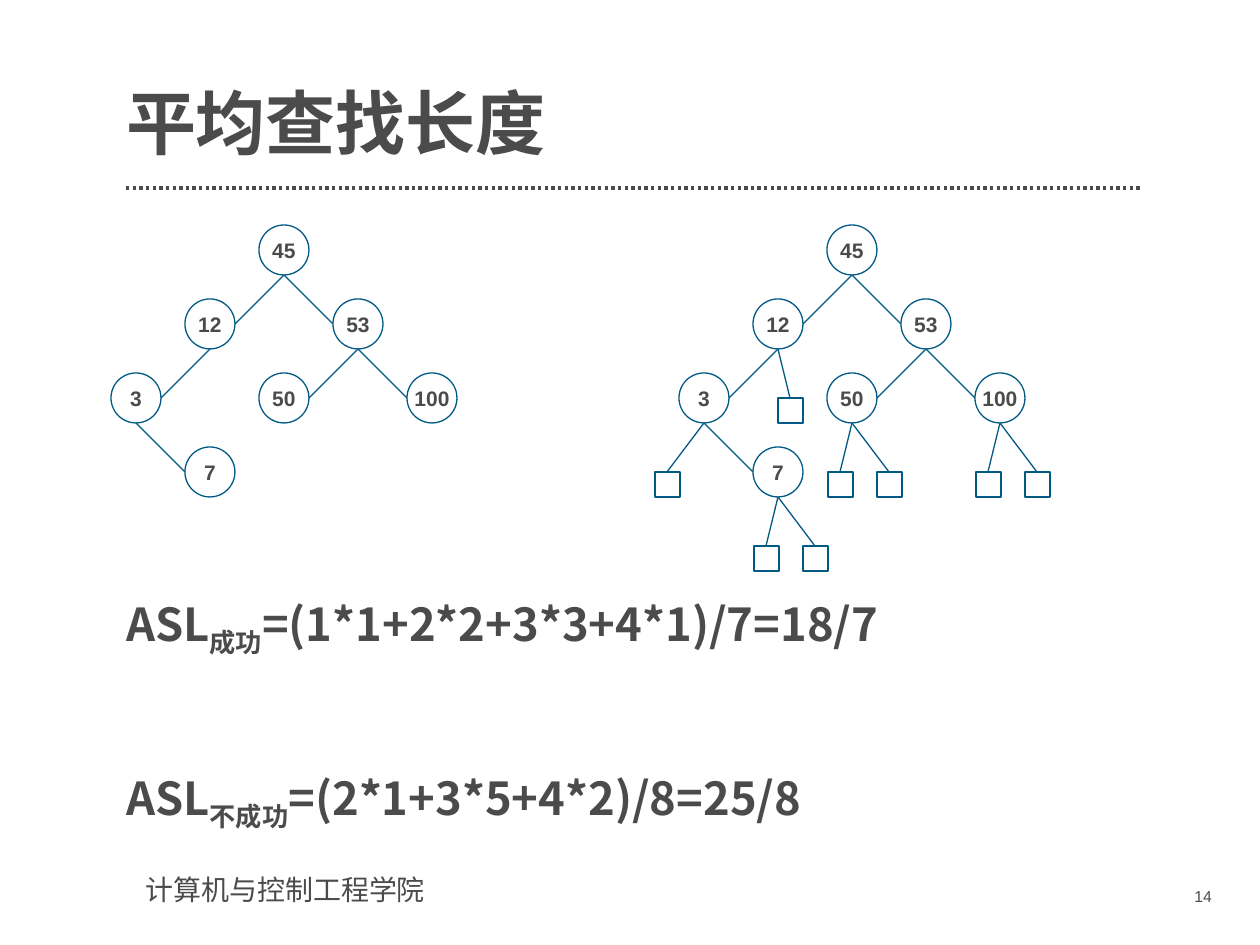
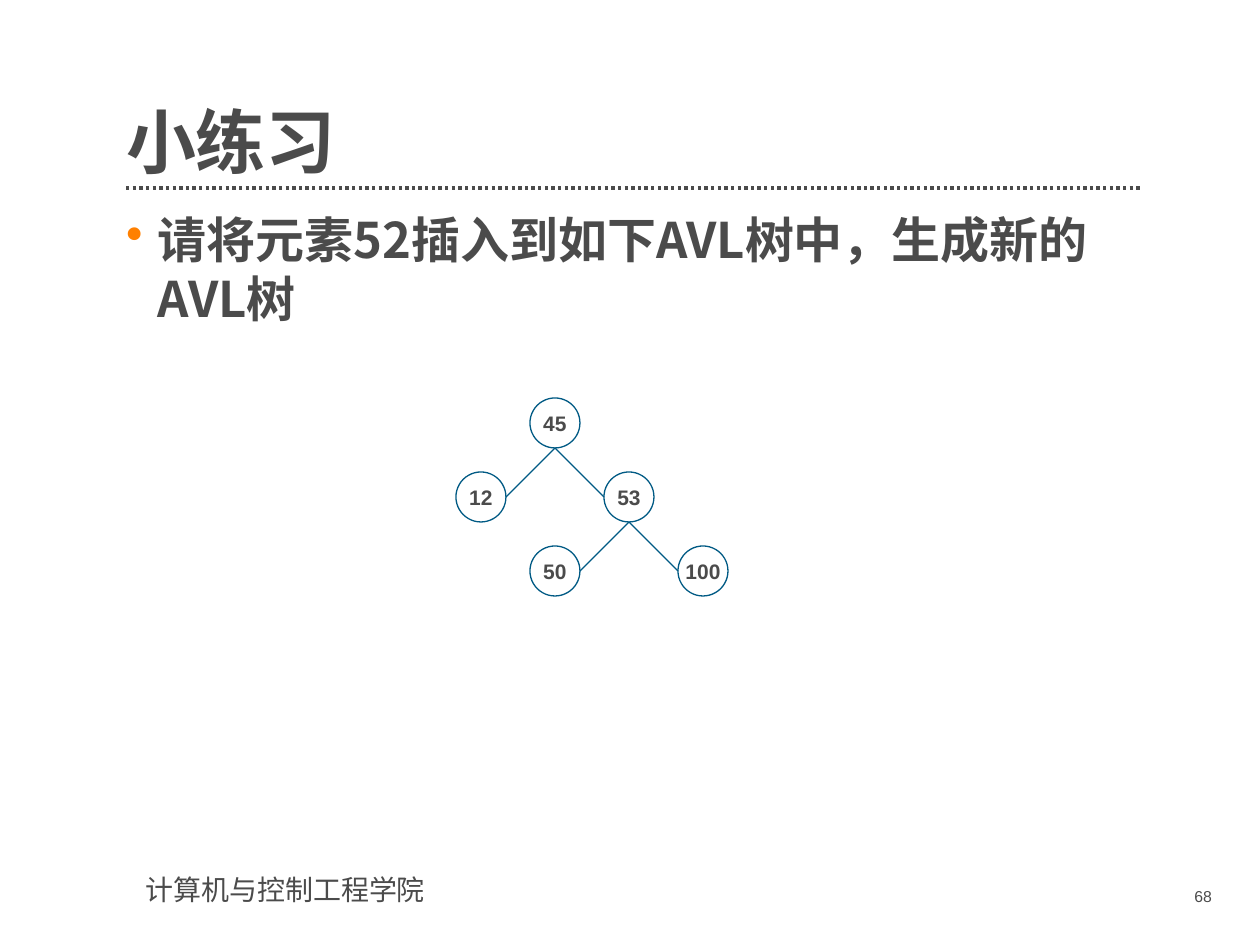
"""Build two slides on search-tree length and AVL insertion."""
from typing import NamedTuple

from lxml.etree import SubElement
from pptx import Presentation
from pptx.dml.color import RGBColor as Rgb
from pptx.enum.dml import MSO_LINE as Dash
from pptx.enum.shapes import MSO_CONNECTOR as Link, MSO_SHAPE as Shape
from pptx.enum.text import MSO_ANCHOR as Anchor, MSO_AUTO_SIZE as Fit, PP_ALIGN as Align
from pptx.oxml.ns import qn
from pptx.util import Pt

EMU_PER_PX = 914400 / 126
COLORS = {"ink": "4B4B4B", "tree": "005A84", "bullet": "FF8000"}
HEADING_FONT, LABEL_FONT = "Noto Sans CJK SC", "Arial"
SCHOOL = "计算机与控制工程学院"
NODE, STEP, LEAF, HANG = 50, 74, 25, 32
NEAR, FAR = 12, 37


class Box(NamedTuple):
    """Hold a frame in px."""
    left: int
    top: int
    width: int
    height: int


class Style(NamedTuple):
    """Describe the look of a run."""
    size: float
    bold: bool = True
    face: str = HEADING_FONT


class Key(NamedTuple):
    """Place a tree key on the grid, with its parent and empty-leaf offsets."""
    value: str
    col: int
    row: int
    parent: str = ""
    leaves: tuple[int, ...] = ()


TITLE = Style(40)
FORMULA = Style(25.9)
TASK = Style(28)
NODE_LABEL = Style(12, face=LABEL_FONT)
FOOTER = Style(16, False, LABEL_FONT)
PAGE = Style(9, False, LABEL_FONT)

AVL_KEYS = (
    Key("45", 0, 0),
    Key("12", -1, 1, "45", (NEAR,)),
    Key("53", 1, 1, "45"),
    Key("50", 0, 2, "53", (-NEAR, FAR)),
    Key("100", 2, 2, "53", (-NEAR, FAR)),
)
SEARCH_KEYS = AVL_KEYS + (
    Key("3", -2, 2, "12", (-FAR,)),
    Key("7", -1, 3, "3", (-NEAR, FAR)),
)
FORMULAS = (
    ("成功", "=(1*1+2*2+3*3+4*1)/7=18/7"),
    ("不成功", "=(2*1+3*5+4*2)/8=25/8"),
)


def emu(px: float) -> int:
    """Turn px into EMU."""
    return round(px * EMU_PER_PX)


def color(name: str) -> Rgb:
    """Look up a named colour."""
    return Rgb.from_string(COLORS[name])


def add_run(paragraph, text: str, style: Style, baseline: int = 0) -> None:
    """Append one styled run."""
    run = paragraph.add_run()
    run.text = text
    run.font.size = Pt(style.size)
    run.font.bold = style.bold
    run.font.name = style.face
    run.font.color.rgb = color("ink")
    props = run._r.get_or_add_rPr()
    SubElement(props, qn("a:ea")).set("typeface", HEADING_FONT)
    if baseline:
        props.set("baseline", str(baseline * 1000))


def set_frame(frame, anchor=Anchor.TOP, wrap: bool = True, right: int = 0) -> None:
    """Set the anchor, wrapping and margins of a text frame."""
    frame.auto_size = Fit.NONE
    frame.word_wrap = wrap
    frame.vertical_anchor = anchor
    frame.margin_left = frame.margin_top = frame.margin_bottom = 0
    frame.margin_right = emu(right)


def add_text_box(slide, box: Box, right: int = 0):
    """Add an empty text box and return its frame."""
    frame = slide.shapes.add_textbox(*map(emu, box)).text_frame
    set_frame(frame, right=right)
    return frame


def add_line(slide, start: tuple, end: tuple, name: str = "tree", width: float = 0.75):
    """Draw a straight line without a shadow."""
    line = slide.shapes.add_connector(Link.STRAIGHT, *map(emu, (*start, *end)))
    line.line.color.rgb = color(name)
    line.line.width = Pt(width)
    SubElement(line._element.spPr, qn("a:effectLst"))
    return line


def add_outline(slide, kind, box: Box):
    """Draw an unfilled tree shape."""
    shape = slide.shapes.add_shape(kind, *map(emu, box))
    shape.shadow.inherit = False
    shape.fill.background()
    shape.line.color.rgb = color("tree")
    shape.line.width = Pt(0.75)
    return shape


def draw_tree(slide, keys: tuple[Key, ...], x: int, y: int, with_leaves: bool = False) -> None:
    """Draw a binary tree whose root is centred on x, y."""
    radius = NODE // 2
    centres = {key.value: (x + key.col * STEP, y + key.row * STEP) for key in keys}
    for key in keys:
        cx, cy = centres[key.value]
        node = add_outline(slide, Shape.OVAL, Box(cx - radius, cy - radius, NODE, NODE))
        set_frame(node.text_frame, Anchor.MIDDLE, wrap=False)
        label = node.text_frame.paragraphs[0]
        label.alignment = Align.CENTER
        add_run(label, key.value, NODE_LABEL)
        if key.parent:
            px, py = centres[key.parent]
            side = radius if cx < px else -radius
            add_line(slide, (px, py + radius), (cx + side, cy))
        for offset in key.leaves if with_leaves else ():
            leaf_x, leaf_y = cx + offset, cy + STEP
            add_outline(slide, Shape.RECTANGLE, Box(leaf_x - LEAF // 2, leaf_y, LEAF, LEAF))
            add_line(slide, (cx, cy + radius), (leaf_x, leaf_y))


def start_slide(deck, heading: str, title_top: int, page: str):
    """Add a slide with its title, rule, footer and page number."""
    slide = deck.slides.add_slide(deck.slide_layouts[5])
    title = slide.shapes.title
    title.left, title.top, title.width, title.height = map(emu, Box(126, title_top, 1016, 115))
    set_frame(title.text_frame, Anchor.BOTTOM)
    paragraph = title.text_frame.paragraphs[0]
    paragraph.alignment = Align.LEFT
    paragraph.line_spacing = 0.9
    add_run(paragraph, heading, TITLE)
    rule = add_line(slide, (126, 188), (1142, 188), "ink", 1.9)
    rule.line.dash_style = Dash.ROUND_DOT
    school = add_text_box(slide, Box(146, 873, 330, 40))
    add_run(school.paragraphs[0], SCHOOL, FOOTER)
    number = add_text_box(slide, Box(1100, 887, 112, 24)).paragraphs[0]
    number.alignment = Align.RIGHT
    add_run(number, page, PAGE)
    return slide


def build_search_length(deck) -> None:
    """Build the average search length slide."""
    slide = start_slide(deck, "平均查找长度", 50, "14")
    draw_tree(slide, SEARCH_KEYS, 284, 250)
    draw_tree(slide, SEARCH_KEYS, 852, 250, with_leaves=True)
    frame = add_text_box(slide, Box(126, 596, 1016, 244), right=25)
    for index, (case, formula) in enumerate(FORMULAS):
        paragraph = frame.add_paragraph() if index else frame.paragraphs[0]
        if index:
            paragraph.space_before = Pt(64)
        add_run(paragraph, "ASL", FORMULA)
        add_run(paragraph, case, FORMULA, baseline=-25)
        add_run(paragraph, formula, FORMULA)


def build_exercise(deck) -> None:
    """Build the AVL insertion exercise slide."""
    slide = start_slide(deck, "小练习", 69, "68")
    task = add_text_box(slide, Box(126, 210, 1016, 630), right=25).paragraphs[0]
    props = task._p.get_or_add_pPr()
    props.set("marL", str(emu(HANG)))
    props.set("indent", str(-emu(HANG)))
    bullet_color = SubElement(props, qn("a:buClr"))
    SubElement(bullet_color, qn("a:srgbClr")).set("val", COLORS["bullet"])
    SubElement(props, qn("a:buChar")).set("char", "•")
    add_run(task, "请将元素52插入到如下AVL树中，生成新的AVL树", TASK)
    draw_tree(slide, AVL_KEYS, 555, 423)


def main() -> None:
    """Build and save the deck."""
    deck = Presentation()
    deck.slide_width, deck.slide_height = emu(1260), emu(945)
    build_search_length(deck)
    build_exercise(deck)
    deck.save("out.pptx")


if __name__ == "__main__":
    main()
